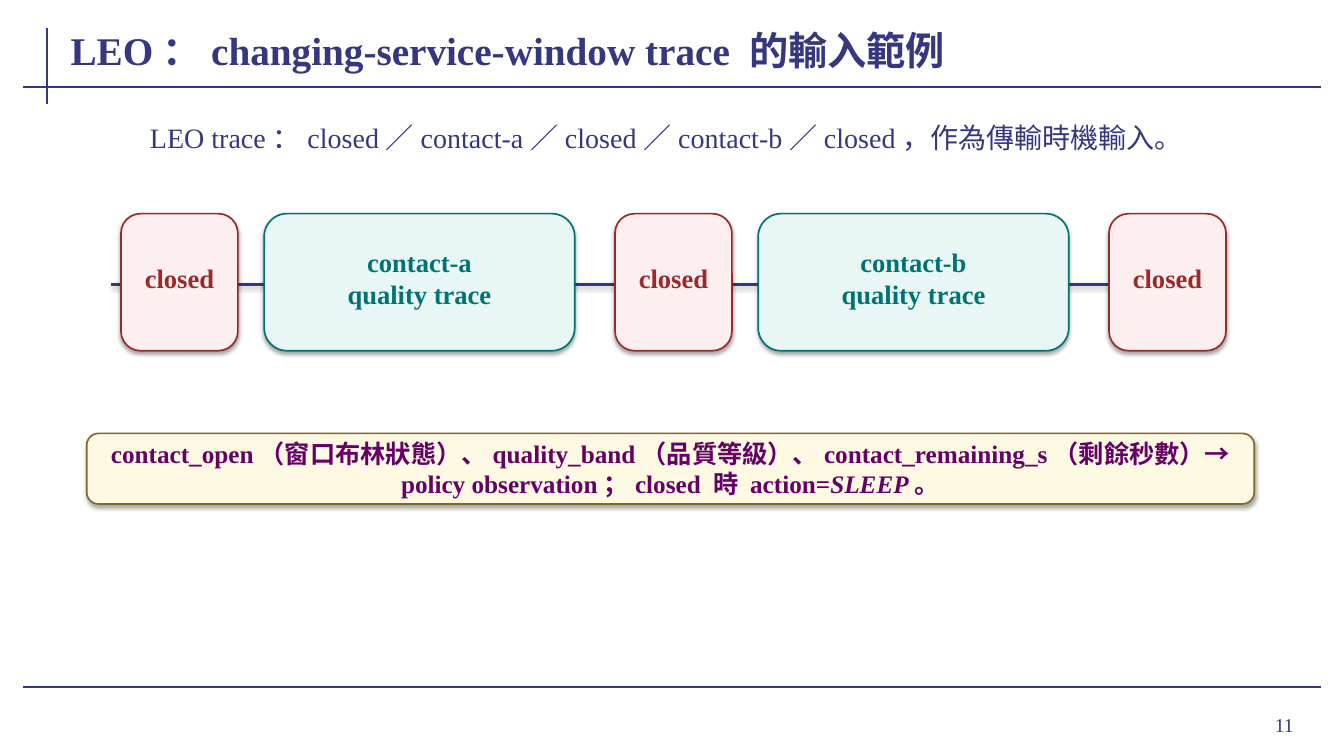
from lxml import etree
from pptx import Presentation
from pptx.dml.color import RGBColor
from pptx.enum.shapes import MSO_CONNECTOR, MSO_SHAPE
from pptx.enum.text import MSO_ANCHOR, PP_ALIGN
from pptx.oxml.ns import qn
from pptx.util import Inches, Pt

STRAIGHT = MSO_CONNECTOR.STRAIGHT
ROUNDED = MSO_SHAPE.ROUNDED_RECTANGLE
MIDDLE = MSO_ANCHOR.MIDDLE
LEFT, CENTER, RIGHT = PP_ALIGN.LEFT, PP_ALIGN.CENTER, PP_ALIGN.RIGHT

FONT = "Times New Roman"
NAVY = RGBColor(0x35, 0x37, 0x7F)
RED = RGBColor(0x99, 0x2A, 0x2A)
PALE_RED = RGBColor(0xFD, 0xEF, 0xEF)
TEAL = RGBColor(0x00, 0x73, 0x74)
PALE_TEAL = RGBColor(0xE8, 0xF7, 0xF4)
OCHRE = RGBColor(0x84, 0x68, 0x26)
CREAM = RGBColor(0xFD, 0xF9, 0xE2)
PURPLE = RGBColor(0x66, 0x00, 0x66)

WINDOW_TOP, WINDOW_HEIGHT = 2.12, 1.36
CLOSED_WIDTH, CONTACT_WIDTH = 1.16, 3.08
FIRST_CLOSED, FIRST_CONTACT, PERIOD = 1.2, 2.62, 4.9


def set_effects(shape, distance=None, opacity=0):
    """Replace the theme effect by a downward shadow, or by none."""
    effects = etree.SubElement(shape._element.spPr, qn("a:effectLst"))
    if distance is None:
        return
    shadow = etree.SubElement(
        effects, qn("a:outerShdw"), blurRad=str(Pt(3.1)), dist=str(Pt(distance)),
        dir="5400000", algn="ctr", rotWithShape="0")
    black = etree.SubElement(shadow, qn("a:srgbClr"), val="000000")
    etree.SubElement(black, qn("a:alpha"), val=str(opacity * 1000))


def add_line(slide, x1, y1, x2, y2, width=1.5):
    line = slide.shapes.add_connector(
        STRAIGHT, Inches(x1), Inches(y1), Inches(x2), Inches(y2))
    line.line.color.rgb = NAVY
    line.line.width = Pt(width)
    return line


def add_panel(slide, left, top, width, height, fill, outline):
    panel = slide.shapes.add_shape(
        ROUNDED, Inches(left), Inches(top), Inches(width), Inches(height))
    panel.fill.solid()
    panel.fill.fore_color.rgb = fill
    panel.line.color.rgb = outline
    panel.line.width = Pt(1.2)
    set_effects(panel, distance=1.8, opacity=35)


def add_text(slide, left, top, width, height, lines, size, color,
             bold=False, align=CENTER, inset=0.02):
    """Each line is a list of (text, italic) runs or a plain string."""
    box = slide.shapes.add_textbox(
        Inches(left), Inches(top), Inches(width), Inches(height))
    frame = box.text_frame
    frame.word_wrap = True
    frame.vertical_anchor = MIDDLE
    frame.margin_left = frame.margin_right = Inches(inset)
    frame.margin_top = frame.margin_bottom = 0
    for index, line in enumerate(lines):
        paragraph = frame.paragraphs[0] if index == 0 else frame.add_paragraph()
        paragraph.alignment = align
        for text, italic in [(line, False)] if isinstance(line, str) else line:
            run = paragraph.add_run()
            run.text = text
            run.font.name = FONT
            run.font.size = Pt(size)
            run.font.color.rgb = color
            run.font.bold = bold
            run.font.italic = italic


def add_window(slide, left, width, lines, fill, color):
    add_panel(slide, left, WINDOW_TOP, width, WINDOW_HEIGHT, fill, color)
    add_text(slide, left + 0.08, WINDOW_TOP + 0.36, width - 0.16, 0.56,
             lines, 19, color, bold=True, inset=0.01)


def add_frame(slide):
    for ends in ((0.47, 0.28, 0.47, 1.03), (0.23, 0.86, 13.1, 0.86),
                 (0.23, 6.82, 13.1, 6.82)):
        set_effects(add_line(slide, *ends))
    add_text(slide, 11.96, 6.93, 0.97, 0.52, ["11"], 14, NAVY,
             align=RIGHT, inset=0.1)


def add_timeline(slide):
    axis = add_line(slide, 1.1, 2.82, 11.92, 2.82, width=2)
    set_effects(axis, distance=1.6, opacity=38)
    for index in range(3):
        offset = index * PERIOD
        add_window(slide, FIRST_CLOSED + offset, CLOSED_WIDTH, ["closed"],
                   PALE_RED, RED)
        if index < 2:
            add_window(slide, FIRST_CONTACT + offset, CONTACT_WIDTH,
                       [f"contact-{'ab'[index]}", "quality trace"],
                       PALE_TEAL, TEAL)


def main():
    presentation = Presentation()
    presentation.slide_width = Inches(13.33)
    presentation.slide_height = Inches(7.5)
    slide = presentation.slides.add_slide(presentation.slide_layouts[6])

    # Frame lines, page number and headings
    add_frame(slide)
    add_text(slide, 0.68, 0.18, 11.95, 0.62,
             ["LEO：changing-service-window trace 的輸入範例"],
             28, NAVY, bold=True, align=LEFT)
    add_text(slide, 0.92, 1.18, 11.38, 0.36,
             ["LEO trace：closed／contact-a／closed／contact-b／closed，作為傳輸時機輸入。"],
             20, NAVY, inset=0.08)

    # Alternating closed and contact windows
    add_timeline(slide)

    # Observation summary
    add_panel(slide, 0.86, 4.3, 11.58, 0.7, CREAM, OCHRE)
    observation = [
        ("contact_open（窗口布林狀態）、quality_band（品質等級）、"
         "contact_remaining_s（剩餘秒數）→ policy observation；closed 時 action=", False),
        ("SLEEP", True),
        ("。", False),
    ]
    add_text(slide, 1.04, 4.37, 11.22, 0.56, [observation], 18, PURPLE, bold=True)

    presentation.save("out.pptx")


if __name__ == "__main__":
    main()
